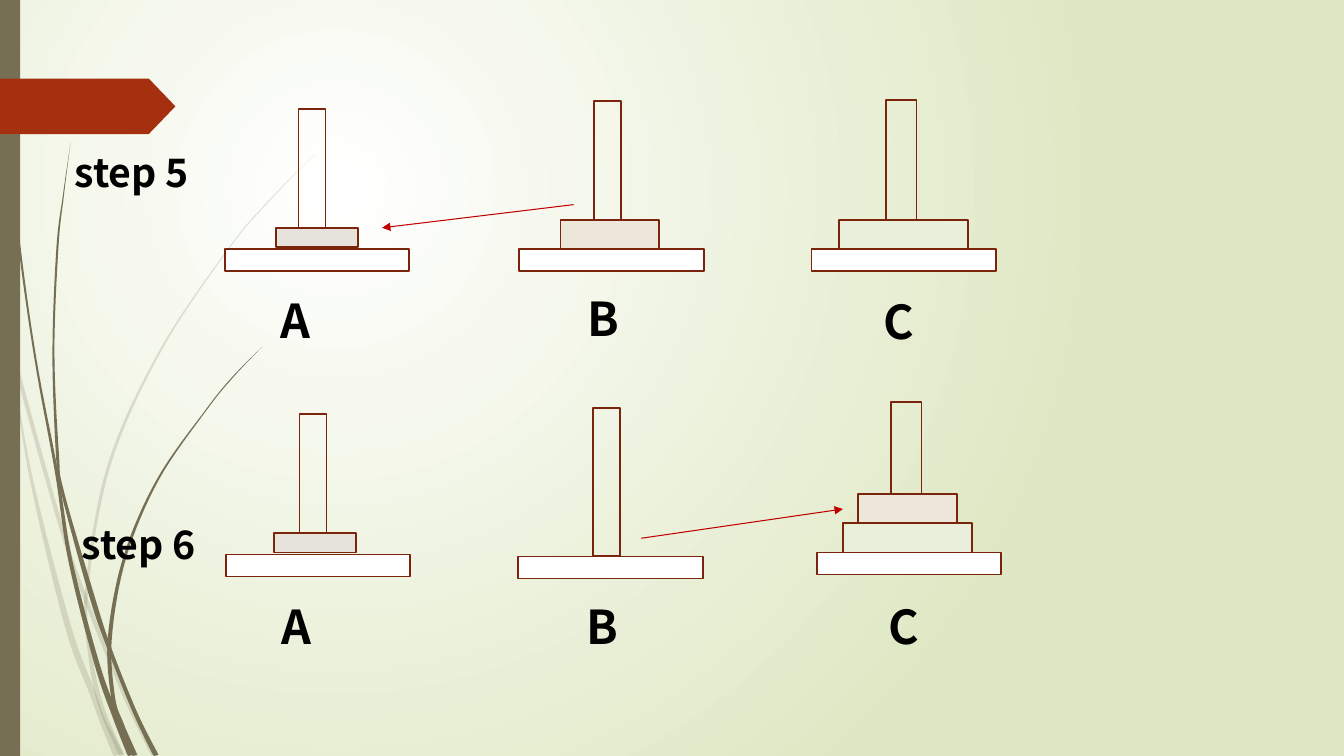
"""Build a slide with steps 5 and 6 of the three-peg Tower of Hanoi."""
from math import hypot

from lxml import etree
from pptx import Presentation
from pptx.dml.color import RGBColor
from pptx.enum.shapes import MSO_CONNECTOR, MSO_SHAPE
from pptx.enum.text import MSO_ANCHOR
from pptx.oxml.ns import qn
from pptx.util import Inches, Pt

RECT, PENNANT = MSO_SHAPE.RECTANGLE, MSO_SHAPE.PENTAGON
STRAIGHT, TOP = MSO_CONNECTOR.STRAIGHT, MSO_ANCHOR.TOP
FONT = "Noto Sans CJK SC"
COLORS = {
    "glow": "FFFFFF", "edge": "DFE8C4", "stem": "766F54", "pennant": "A53010",
    "outline": "7A240C", "base": "FFFFFF", "small": "E5E3DB", "medium": "EDE6DB",
    "large": "EAEFDB", "arrow": "C00000", "text": "000000",
}
SLIDE_W, SLIDE_H = 13.33, 7.5
BASE_W, BASE_H = 1.83, 0.22
LABEL_W, LABEL_H = 1.52, 0.6

# Each disc: width, height, rise of the stack.
DISCS = {"small": (0.81, 0.19, 0.21), "medium": (0.98, 0.29, 0.29), "large": (1.28, 0.29, 0.29)}

# Each step: caption, caption position, arrow ends, pegs.
# Each peg: letter, label position, base position, rod (x, y, width), discs from the bottom (size, x).
STEPS = [
    ("step 5", (0.29, 1.42), ((5.69, 2.03), (3.79, 2.26)), [
        ("A", (2.27, 2.85), (2.23, 2.47), (2.96, 1.08, 0.27), [("small", 2.74)]),
        ("B", (5.31, 2.83), (5.15, 2.47), (5.89, 1.0, 0.27), [("medium", 5.56)]),
        ("C", (8.25, 2.86), (8.05, 2.47), (8.79, 0.99, 0.3), [("large", 8.32)]),
    ]),
    ("step 6", (0.36, 5.11), ((6.36, 5.34), (8.36, 5.05)), [
        ("A", (2.28, 5.88), (2.24, 5.5), (2.97, 4.11, 0.27), [("small", 2.72)]),
        ("B", (5.3, 5.88), (5.14, 5.52), (5.88, 4.05, 0.27), []),
        ("C", (8.3, 5.88), (8.1, 5.48), (8.84, 3.99, 0.3), [("large", 8.36), ("medium", 8.51)]),
    ]),
]

# Each stem: opacity in percent, then centre points (x, y, thickness).
STEMS = [
    (20, [(0, 2.9, 0.04), (0.14, 3.55, 0.04), (0.6, 5.21, 0.04), (0.86, 5.97, 0.04),
          (1.25, 6.93, 0.04), (1.53, 7.5, 0.05)]),
    (20, [(0.11, 3.5, 0), (0.3, 4.7, 0.03), (0.67, 6.2, 0.06), (0.92, 6.88, 0.06),
          (1.01, 7.13, 0.06), (1.18, 7.5, 0.1)]),
    (20, [(3.12, 1.53, 0), (2.68, 1.98, 0.01), (2.28, 2.45, 0.01), (1.59, 3.48, 0.02),
          (1.08, 4.62, 0.03), (0.86, 5.84, 0.03), (0.89, 6.46, 0.04), (1.0, 7.0, 0.05),
          (1.21, 7.5, 0.05)]),
    (100, [(0.04, 0, 0.01), (0.07, 1.1, 0.01), (0.18, 2.33, 0.02), (0.35, 3.55, 0.02),
           (0.56, 4.68, 0.03), (0.7, 5.57, 0.04), (0.96, 6.58, 0.05), (1.14, 7.09, 0.06),
           (1.31, 7.5, 0.08)]),
    (100, [(0.7, 1.41, 0), (0.63, 1.93, 0.01), (0.57, 2.45, 0.02), (0.53, 3.49, 0.02),
           (0.57, 4.51, 0.03), (0.62, 4.88, 0.03), (0.91, 5.91, 0.05), (1.08, 6.42, 0.04),
           (1.34, 7.07, 0.04), (1.55, 7.5, 0.05)]),
    (100, [(2.6, 3.44, 0), (2.31, 3.74, 0.01), (2.05, 4.06, 0.01), (1.57, 4.75, 0.02),
           (1.24, 5.52, 0.03), (1.09, 6.32, 0.04), (1.12, 6.91, 0.04), (1.2, 7.18, 0.05),
           (1.34, 7.5, 0.05)]),
]


def rgb(name):
    return RGBColor.from_string(COLORS[name])


def paint(sp, fill=None, line=None):
    sp.shadow.inherit = False
    if fill:
        sp.fill.solid()
        sp.fill.fore_color.rgb = rgb(fill)
    else:
        sp.fill.background()
    if line:
        sp.line.color.rgb = rgb(line)
        sp.line.width = Pt(1.25)
    else:
        sp.line.fill.background()


def add_block(s, x, y, w, h, fill=None, line=None, kind=RECT):
    sp = s.shapes.add_shape(kind, Inches(x), Inches(y), Inches(w), Inches(h))
    paint(sp, fill, line)
    return sp


def add_label(s, text, x, y, w, size):
    sp = s.shapes.add_textbox(Inches(x), Inches(y), Inches(w), Inches(LABEL_H))
    tf = sp.text_frame
    tf.word_wrap, tf.vertical_anchor = True, TOP
    tf.margin_left, tf.margin_top = Inches(0.1) + Pt(0.9 * size), Inches(0.05)
    tf.margin_right = tf.margin_bottom = 0
    p = tf.paragraphs[0]
    p.text = text
    p.font.name, p.font.size, p.font.bold = FONT, Pt(size), True
    p.font.color.rgb = rgb("text")


def add_arrow(s, start, end):
    sp = s.shapes.add_connector(STRAIGHT, *(Inches(v) for v in start + end))
    sp.line.color.rgb = rgb("arrow")
    sp.line.width = Pt(0.75)
    sp_pr = sp._element.spPr
    etree.SubElement(sp_pr.find(qn("a:ln")), qn("a:tailEnd"), type="triangle")
    etree.SubElement(sp_pr, qn("a:effectLst"))


def smooth_curve(points, steps=8):
    ends = [points[0]] + points + [points[-1]]
    curve = []
    for a, b, c, d in zip(ends, ends[1:], ends[2:], ends[3:]):
        for i in range(steps):
            t = i / steps
            curve.append([(2 * q + (r - p) * t + (2 * p - 5 * q + 4 * r - u) * t ** 2
                           + (3 * q - p - 3 * r + u) * t ** 3) / 2
                          for p, q, r, u in zip(a, b, c, d)])
    return curve + [points[-1]]


def add_stem(s, opacity, points):
    curve = smooth_curve(points)
    left, right = [], []
    for i, (x, y, w) in enumerate(curve):
        before, after = curve[max(i - 1, 0)], curve[min(i + 1, len(curve) - 1)]
        dx, dy = after[0] - before[0], after[1] - before[1]
        k = w / 2 / hypot(dx, dy)
        left.append((x - dy * k, y + dx * k))
        right.append((x + dy * k, y - dx * k))
    outline = [(Inches(max(x, 0)), Inches(min(max(y, 0), SLIDE_H))) for x, y in left + right[::-1]]
    builder = s.shapes.build_freeform(*outline[0])
    builder.add_line_segments(outline[1:], close=True)
    sp = builder.convert_to_shape()
    paint(sp, "stem")
    if opacity < 100:
        color = sp._element.spPr.find(qn("a:solidFill")).find(qn("a:srgbClr"))
        etree.SubElement(color, qn("a:alpha"), val=str(opacity * 1000))


def set_background(s):
    fill = s.background.fill
    fill.gradient()
    for stop, name, place in zip(fill.gradient_stops, ("glow", "edge"), (0, 1)):
        stop.color.rgb = rgb(name)
        stop.position = place
    grad = fill._fill._gradFill
    radial = etree.Element(qn("a:path"), {"path": "circle"})
    etree.SubElement(radial, qn("a:fillToRect"), l="50000", t="50000", r="100000", b="100000")
    grad.replace(grad.find(qn("a:lin")), radial)


def add_peg(s, letter, label, base, rod, discs):
    add_label(s, letter, *label, LABEL_W, 33.3)
    add_block(s, *base, BASE_W, BASE_H, "base", "outline")
    top = base[1]
    for size, x in discs:
        w, h, rise = DISCS[size]
        top -= rise
        add_block(s, x, top, w, h, size, "outline")
    x, y, w = rod
    add_block(s, x, y, w, top - y, line="outline")


def main():
    prs = Presentation()
    prs.slide_width, prs.slide_height = Inches(SLIDE_W), Inches(SLIDE_H)
    s = prs.slides.add_slide(prs.slide_layouts[6])
    set_background(s)
    for opacity, points in STEMS:
        add_stem(s, opacity, points)
    add_block(s, 0, 0, 0.2, SLIDE_H, "stem")
    add_block(s, 0, 0.78, 1.74, 0.55, "pennant", kind=PENNANT).adjustments[0] = 0.48
    for caption, place, arrow, pegs in STEPS:
        add_label(s, caption, *place, 1.87, 28)
        for peg in pegs:
            add_peg(s, *peg)
        add_arrow(s, *arrow)
    prs.save("out.pptx")


if __name__ == "__main__":
    main()
